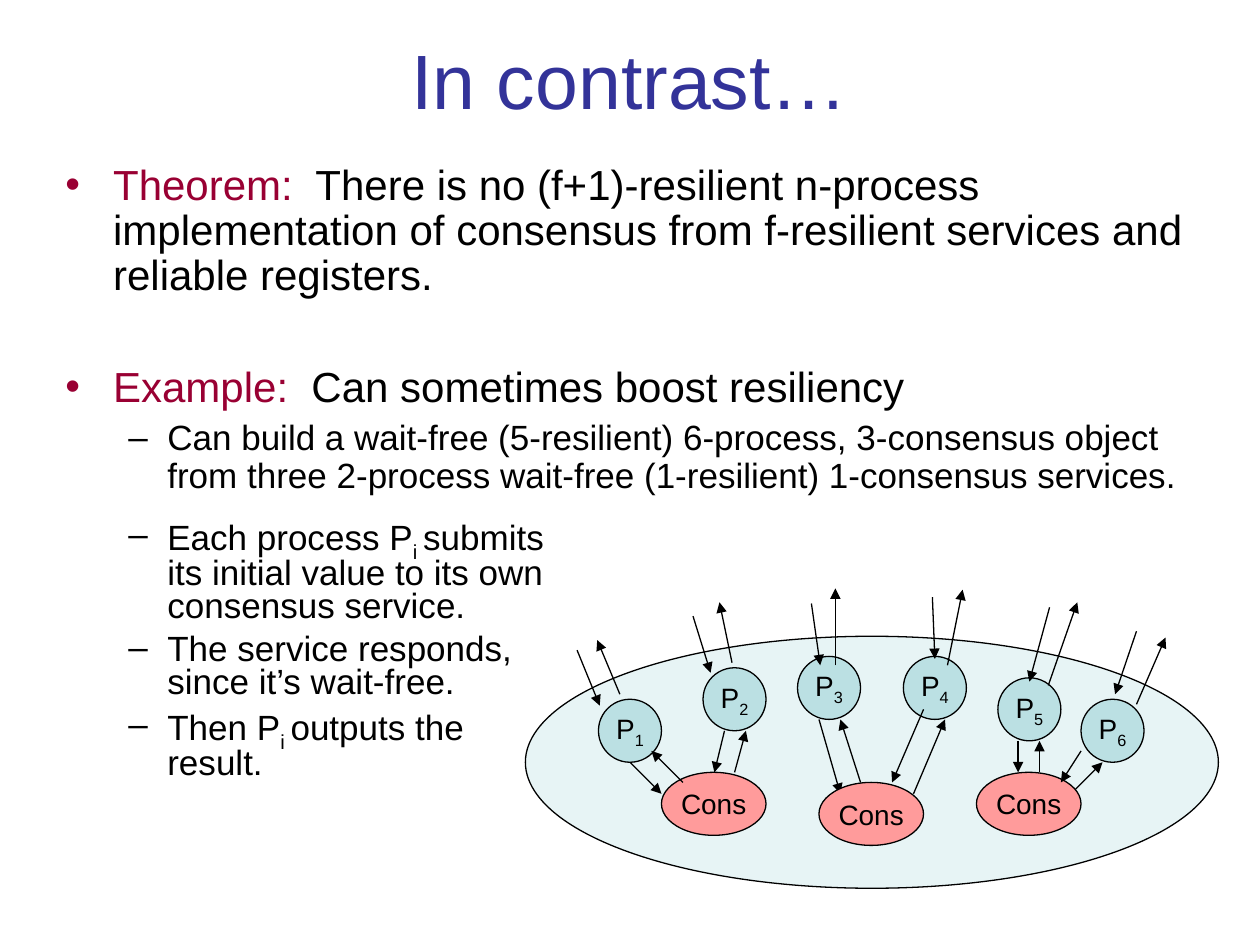
from typing import NamedTuple

from lxml import etree
from pptx import Presentation
from pptx import util as u
from pptx.dml.color import RGBColor
from pptx.enum import shapes, text
from pptx.oxml import ns

FONT = "Arial"
BLACK, TITLE_BLUE, KEYWORD_RED = "000000", "333399", "990033"
SYSTEM_FILL, PROCESS_FILL, SERVICE_FILL = "E7F4F5", "BBE0E3", "FF9B9B"


class Piece(NamedTuple):
    words: str
    color: str = BLACK
    subscript: bool = False


class Bullet(NamedTuple):
    pieces: list[Piece]
    size: int
    indent: float
    hanging: float
    mark: str
    mark_color: str
    spacing: float
    before: int


class Oval(NamedTuple):
    left: float
    top: float
    width: float
    height: float
    fill: str
    label: list[Piece]


class Arrow(NamedTuple):
    x1: float
    y1: float
    x2: float
    y2: float


def rgb(value: str) -> RGBColor:
    return RGBColor.from_string(value)


def add_runs(paragraph, pieces: list[Piece], size: int) -> None:
    for piece in pieces:
        run = paragraph.add_run()
        run.text = piece.words
        run.font.name = FONT
        run.font.size = u.Pt(size)
        run.font.color.rgb = rgb(piece.color)
        if piece.subscript:
            run._r.get_or_add_rPr().set("baseline", "-25000")


def add_frame(slide, left: float, top: float, width: float, height: float):
    box = slide.shapes.add_textbox(
        u.Inches(left), u.Inches(top), u.Inches(width), u.Inches(height))
    box.text_frame.word_wrap = True
    return box.text_frame


def add_bullets(frame, bullets: list[Bullet]) -> None:
    for index, bullet in enumerate(bullets):
        paragraph = frame.add_paragraph() if index else frame.paragraphs[0]
        paragraph.line_spacing = bullet.spacing
        paragraph.space_before = u.Pt(bullet.before)
        props = paragraph._p.get_or_add_pPr()
        props.set("marL", str(u.Inches(bullet.indent)))
        props.set("indent", str(-u.Inches(bullet.hanging)))
        mark_color = etree.SubElement(props, ns.qn("a:buClr"))
        etree.SubElement(mark_color, ns.qn("a:srgbClr"), val=bullet.mark_color)
        etree.SubElement(props, ns.qn("a:buFont"), typeface=FONT)
        etree.SubElement(props, ns.qn("a:buChar"), char=bullet.mark)
        add_runs(paragraph, bullet.pieces, bullet.size)


def add_oval(slide, oval: Oval) -> None:
    shape = slide.shapes.add_shape(
        shapes.MSO_SHAPE.OVAL, u.Inches(oval.left), u.Inches(oval.top),
        u.Inches(oval.width), u.Inches(oval.height))
    shape.shadow.inherit = False
    shape.fill.solid()
    shape.fill.fore_color.rgb = rgb(oval.fill)
    shape.line.color.rgb = rgb(BLACK)
    shape.line.width = u.Pt(0.75)
    if oval.label:
        frame = shape.text_frame
        frame.word_wrap = False
        frame.vertical_anchor = text.MSO_ANCHOR.MIDDLE
        frame.paragraphs[0].alignment = text.PP_ALIGN.CENTER
        add_runs(frame.paragraphs[0], oval.label, 16)


def add_arrow(slide, arrow: Arrow) -> None:
    connector = slide.shapes.add_connector(
        shapes.MSO_CONNECTOR.STRAIGHT, *(u.Inches(value) for value in arrow))
    connector.line.color.rgb = rgb(BLACK)
    connector.line.width = u.Pt(0.75)
    etree.SubElement(connector.line._get_or_add_ln(), ns.qn("a:tailEnd"), type="triangle")
    etree.SubElement(connector._element.spPr, ns.qn("a:effectLst"))


def main_point(keyword: str, words: str, before: int) -> Bullet:
    return Bullet([Piece(keyword, KEYWORD_RED), Piece(words)],
                  24, 0.38, 0.38, "•", KEYWORD_RED, 0.9, before)


def sub_point(pieces: list[Piece], spacing: float) -> Bullet:
    return Bullet(pieces, 20, 0.81, 0.31, "–", BLACK, spacing, 5)


CLAIMS = [
    main_point("Theorem:", "  There is no (f+1)-resilient n-process implementation of "
               "consensus from f-resilient services and reliable registers.", 6),
    main_point("Example:", "  Can sometimes boost resiliency", 38),
    sub_point([Piece("Can build a wait-free (5-resilient) 6-process, 3-consensus object "
                     "from three 2-process wait-free (1-resilient) 1-consensus services.")], 0.9),
]
INDEX_I = Piece("i ", subscript=True)
STEPS = [sub_point(pieces, 0.8) for pieces in (
    [Piece("Each process P"), INDEX_I,
     Piece("submits its initial value to its own consensus service.")],
    [Piece("The service responds, since it’s wait-free.")],
    [Piece("Then P"), INDEX_I, Piece("outputs the result.")],
)]

SYSTEM = Oval(4.17, 5.05, 5.5, 2, SYSTEM_FILL, [])
PROCESS_CORNERS = [(4.75, 5.55), (5.58, 5.3), (6.33, 5.21),
                   (7.17, 5.21), (7.92, 5.38), (8.58, 5.55)]
PROCESSES = [
    Oval(left, top, 0.5, 0.5, PROCESS_FILL, [Piece("P"), Piece(str(number), subscript=True)])
    for number, (left, top) in enumerate(PROCESS_CORNERS, 1)
]
SERVICES = [Oval(left, top, 0.83, 0.5, SERVICE_FILL, [Piece("Cons")])
            for left, top in ((5.25, 6.13), (6.5, 6.21), (7.75, 6.13))]

# Input and output of each process, P1 to P6
OUTSIDE_ARROWS = [
    Arrow(4.58, 5.16, 4.76, 5.6), Arrow(4.92, 5.51, 4.74, 5.08),
    Arrow(5.5, 4.89, 5.64, 5.34), Arrow(5.81, 5.26, 5.71, 4.78),
    Arrow(6.44, 4.79, 6.51, 5.28), Arrow(6.63, 5.28, 6.63, 4.67),
    Arrow(7.4, 4.74, 7.42, 5.23), Arrow(7.52, 5.28, 7.64, 4.68),
    Arrow(8.33, 4.82, 8.17, 5.41), Arrow(8.32, 5.44, 8.55, 4.78),
    Arrow(9.02, 5.01, 8.85, 5.51), Arrow(9.02, 5.59, 9.25, 5.06),
]
# Calls and replies that pass behind the services
ARROWS_BEHIND = [
    Arrow(5, 6.05, 5.25, 6.3), Arrow(6.5, 5.71, 6.67, 6.3),
    Arrow(6.83, 6.21, 6.67, 5.71), Arrow(7.33, 5.63, 7.08, 6.21),
    Arrow(8.5, 6.3, 8.75, 6.05), Arrow(8.08, 5.88, 8.08, 6.13),
]
# Calls and replies that pass in front of the services
ARROWS_IN_FRONT = [
    Arrow(5.42, 6.21, 5.17, 5.96), Arrow(5.75, 5.8, 5.67, 6.13),
    Arrow(5.83, 6.13, 5.92, 5.8), Arrow(7.25, 6.3, 7.5, 5.71),
    Arrow(8.25, 6.13, 8.25, 5.88), Arrow(8.58, 5.96, 8.42, 6.21),
]


def main() -> None:
    deck = Presentation()
    deck.slide_width, deck.slide_height = u.Inches(10), u.Inches(7.5)
    slide = deck.slides.add_slide(deck.slide_layouts[6])

    # Title
    title = add_frame(slide, 0.5, 0, 9, 1.25)
    title.vertical_anchor = text.MSO_ANCHOR.MIDDLE
    title.paragraphs[0].alignment = text.PP_ALIGN.CENTER
    add_runs(title.paragraphs[0], [Piece("In contrast…", TITLE_BLUE)], 44)

    # Theorem and example
    add_bullets(add_frame(slide, 0.42, 1.25, 9.33, 2.92), CLAIMS)

    # Diagram, from back to front
    for oval in [SYSTEM, *PROCESSES]:
        add_oval(slide, oval)
    for arrow in OUTSIDE_ARROWS + ARROWS_BEHIND:
        add_arrow(slide, arrow)
    for service in SERVICES:
        add_oval(slide, service)
    for arrow in ARROWS_IN_FRONT:
        add_arrow(slide, arrow)

    # Steps of the protocol
    add_bullets(add_frame(slide, 0.42, 4.08, 4, 3.17), STEPS)

    deck.save("out.pptx")


if __name__ == "__main__":
    main()
